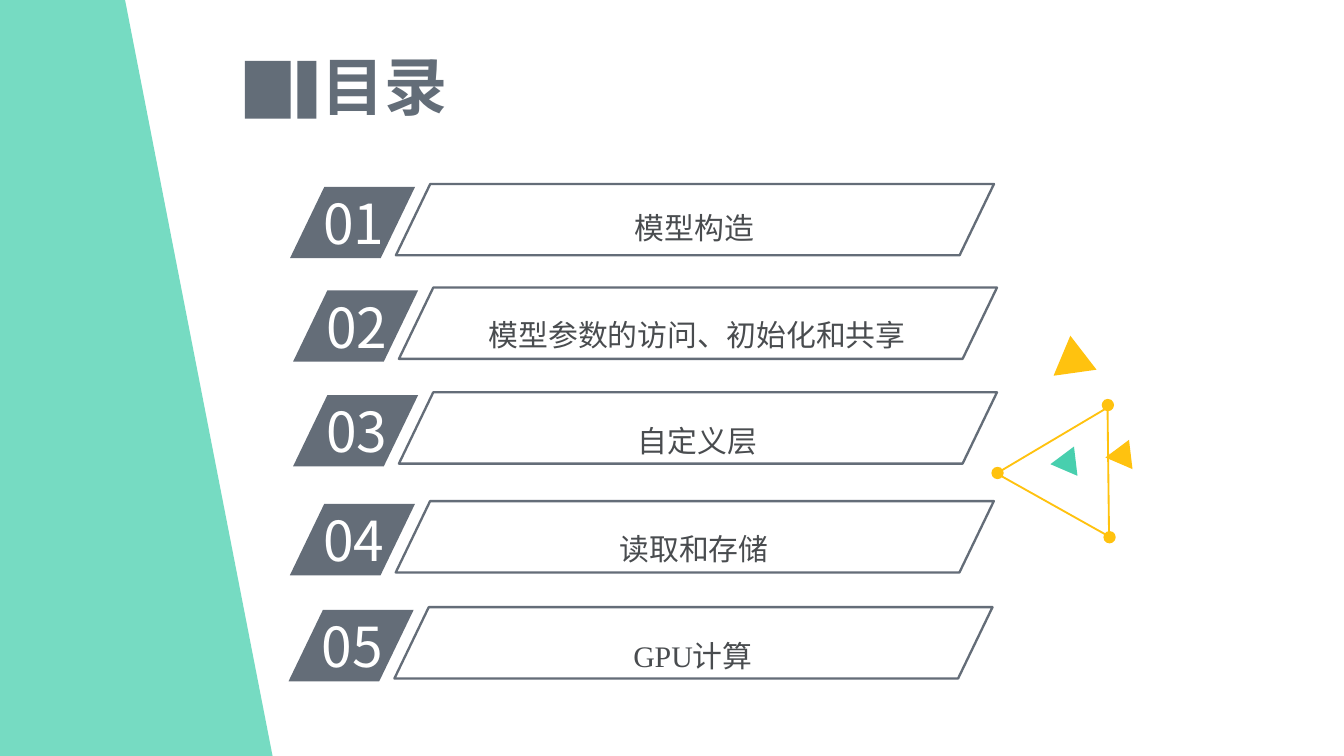
from lxml.etree import SubElement
from pptx import Presentation
from pptx.dml.color import RGBColor
from pptx.enum.shapes import MSO_SHAPE
from pptx.enum.text import MSO_ANCHOR, MSO_AUTO_SIZE, PP_ALIGN
from pptx.oxml.ns import qn
from pptx.util import Pt

SLIDE_WIDTH, SLIDE_HEIGHT = 720, 405
SANS, SERIF = "Noto Sans CJK SC", "Times New Roman"
COLORS = {
    "band": "49CFAE",
    "mint": "48CFAE",
    "amber": "FFC20F",
    "title": "636D78",
    "slate": "646D78",
    "label": "494C4F",
    "white": "FFFFFF",
}

TITLE = "目录"
CHAPTERS = [
    ("模型构造", SERIF, 155.4, 98.6, 1.4),
    ("模型参数的访问、初始化和共享", SERIF, 157, 154.1, 2.9),
    ("自定义层", SANS, 157, 210.2, 3.6),
    ("读取和存储", SERIF, 155.3, 268.5, 3.6),
    ("GPU计算", SERIF, 154.6, 325.3, 3.6),
]
BAND_CORNERS = [(67, 0), (146.5, SLIDE_HEIGHT), (0, SLIDE_HEIGHT)]
TITLE_BLOCKS = [(131.2, 24.6), (159.4, 10.2)]
TRIANGLES = [
    ((560.9, 185, 23, 20.2), 232.4, "amber"),
    ((565.2, 242.6, 15.8, 13.7), 143.3, "mint"),
    ((594.7, 239, 15.8, 13.7), 143.3, "amber"),
]
FRAME = (544.3, 231.8, 69.1, 59.8)
FRAME_ROTATION = 149.3
DOT_CENTERS = [(593.5, 217), (594.4, 287.8), (534.4, 253.4)]
DOT_SIZE = 6.6
SLANT = 0.482
ROW_HEIGHT = 38.2


def paint(shape, fill=None, line=None, weight=1):
    shape.shadow.inherit = False
    if fill:
        shape.fill.solid()
        shape.fill.fore_color.rgb = RGBColor.from_string(COLORS[fill])
    else:
        shape.fill.background()
    if line:
        shape.line.color.rgb = RGBColor.from_string(COLORS[line])
        shape.line.width = Pt(weight)
    else:
        shape.line.fill.background()


def add_figure(slide, preset, box, rotation=0, **style):
    figure = slide.shapes.add_shape(preset, *map(Pt, box))
    figure.rotation = rotation
    paint(figure, **style)
    return figure


def write(holder, text, size, font, color, align, bold=False):
    frame = holder.text_frame
    frame.text = text
    frame.word_wrap = True
    frame.auto_size = MSO_AUTO_SIZE.NONE
    paragraph = frame.paragraphs[0]
    paragraph.alignment = align
    run = paragraph.runs[0]
    run.font.size = Pt(size)
    run.font.name = font
    run.font.bold = bold
    run.font.color.rgb = RGBColor.from_string(COLORS[color])
    SubElement(run.font._element, qn("a:ea")).set("typeface", SANS)
    return frame


def add_band(slide):
    builder = slide.shapes.build_freeform(0, 0, scale=Pt(1))
    builder.add_line_segments(BAND_CORNERS, close=True)
    band = builder.convert_to_shape()
    paint(band, "band")
    color = band.fill._xPr.find(qn("a:solidFill"))[0]
    SubElement(color, qn("a:alpha")).set("val", "75000")


def add_title(slide):
    title = slide.shapes.title
    title.left, title.top, title.width, title.height = map(Pt, (112.3, 25.2, 187.2, 41))
    frame = write(title, TITLE, 33.8, SANS, "title", PP_ALIGN.CENTER, bold=True)
    frame.vertical_anchor = MSO_ANCHOR.MIDDLE
    for left, width in TITLE_BLOCKS:
        add_figure(slide, MSO_SHAPE.RECTANGLE, (left, 32.6, width, 31), fill="title")


def add_chapter(slide, number, name, font, left, top, label_drop):
    chip = add_figure(slide, MSO_SHAPE.PARALLELOGRAM,
                      (left, top + 1.5, 67, ROW_HEIGHT), fill="slate")
    bar = add_figure(slide, MSO_SHAPE.PARALLELOGRAM,
                     (left + 56.7, top, 320.4, ROW_HEIGHT), line="slate", weight=1.25)
    chip.adjustments[0] = bar.adjustments[0] = SLANT

    numeral = slide.shapes.add_textbox(*map(Pt, (left + 10.8, top - 0.7, 63.4, 43.2)))
    write(numeral, f"{number:02}", 29.5, SANS, "white", PP_ALIGN.LEFT)

    label = slide.shapes.add_textbox(*map(Pt, (left + 64.3, top + label_drop, 304.6, 30.6)))
    frame = write(label, name, 16, font, "label", PP_ALIGN.CENTER)
    frame.margin_left = frame.margin_right = Pt(5.8)
    frame.margin_top = frame.margin_bottom = Pt(2.9)
    frame.paragraphs[0].line_spacing = 1.5


def add_ornament(slide):
    for box, rotation, color in TRIANGLES:
        add_figure(slide, MSO_SHAPE.ISOSCELES_TRIANGLE, box, rotation, fill=color)
    add_figure(slide, MSO_SHAPE.ISOSCELES_TRIANGLE, FRAME, FRAME_ROTATION, line="amber")
    for x, y in DOT_CENTERS:
        box = (x - DOT_SIZE / 2, y - DOT_SIZE / 2, DOT_SIZE, DOT_SIZE)
        add_figure(slide, MSO_SHAPE.OVAL, box, fill="amber")


def main():
    """Build the table of contents slide."""
    deck = Presentation()
    deck.slide_width, deck.slide_height = Pt(SLIDE_WIDTH), Pt(SLIDE_HEIGHT)
    slide = deck.slides.add_slide(deck.slide_layouts.get_by_name("Title Only"))
    add_band(slide)
    add_ornament(slide)
    add_title(slide)
    for number, chapter in enumerate(CHAPTERS, start=1):
        add_chapter(slide, number, *chapter)
    deck.save("out.pptx")


if __name__ == "__main__":
    main()
